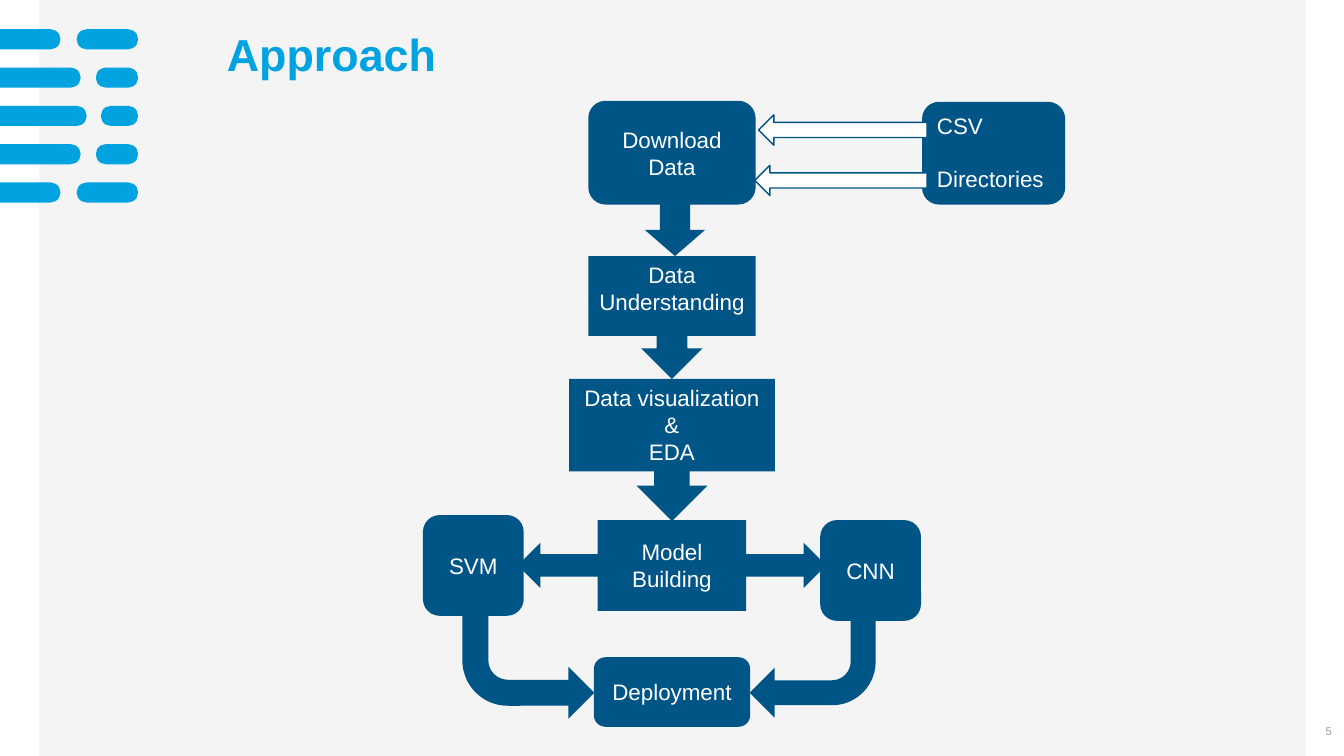
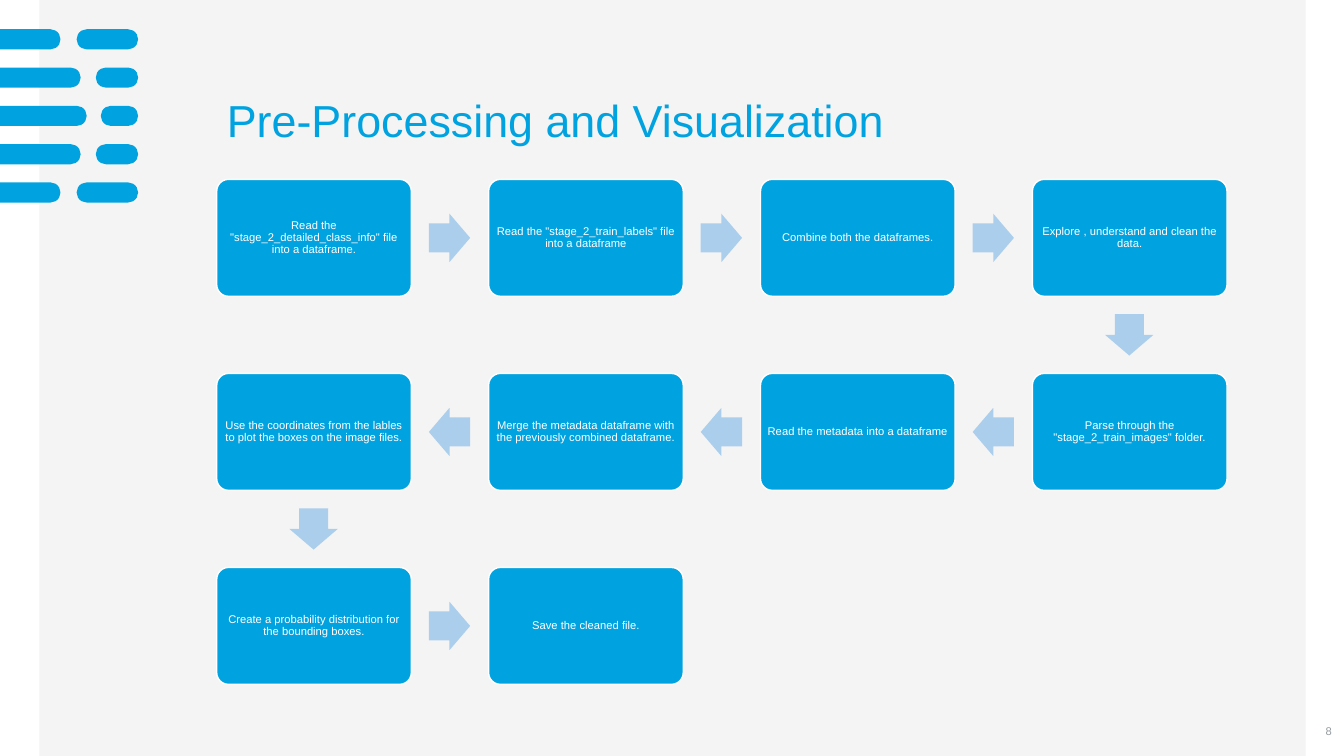
from dataclasses import dataclass
from itertools import pairwise

from pptx import Presentation
from pptx.dml.color import RGBColor
from pptx.enum.shapes import MSO_SHAPE as Kind
from pptx.enum.text import MSO_ANCHOR as Anchor, MSO_AUTO_SIZE as AutoSize, PP_ALIGN as Align
from pptx.oxml.ns import qn
from pptx.util import Inches, Pt

FONT = "Arial"
SKY = RGBColor(0x00, 0xA3, 0xE0)
NAVY = RGBColor(0x00, 0x55, 0x87)
PALE_BLUE = RGBColor(0xAB, 0xCE, 0xED)
PANEL_GRAY = RGBColor(0xF4, 0xF4, 0xF4)
NUMBER_GRAY = RGBColor(0x95, 0x9C, 0xA0)
WHITE = RGBColor(0xFF, 0xFF, 0xFF)


@dataclass
class Box:
    """A rectangle in inches."""

    left: float
    top: float
    width: float
    height: float

    @property
    def center(self):
        """Return the horizontal middle."""
        return self.left + self.width / 2

    def inches(self):
        """Return the four lengths ready for python-pptx."""
        return [Inches(v) for v in (self.left, self.top, self.width, self.height)]


PAGE = Box(0, 0, 13.33, 7.5)
PANEL = Box(0.39, 0, 12.56, 7.5)
STRIPES = Box(0, 0.29, 1.37, 1.72)
NUMBER = Box(12.82, 7.16, 0.39, 0.19)
FLOWCHART = Box(0, 1, 13.33, 6.21)
PROCESS = Box(2.15, 1.78, 10.02, 5.01)

STRIPE_EDGES = [(0.6, 0.76), (0.8, 0.95), (0.86, 1.0), (0.8, 0.95), (0.6, 0.76)]

SPINE = [
    (Kind.ROUNDED_RECTANGLE, 0, 1.66, 1.03, "Download Data", Anchor.MIDDLE),
    (Kind.DOWN_ARROW_CALLOUT, 1.54, 1.66, 1.22, "Data Understanding", Anchor.TOP),
    (Kind.DOWN_ARROW_CALLOUT, 2.76, 2.04, 1.41, "Data visualization &\nEDA", Anchor.TOP),
    (Kind.LEFT_RIGHT_ARROW_CALLOUT, 4.16, 3.06, 0.9, "Model Building", Anchor.MIDDLE),
    (Kind.ROUNDED_RECTANGLE, 5.52, 1.55, 0.69, "Deployment", Anchor.MIDDLE),
]
MODELS = [("SVM", -2.47, 4.11), ("CNN", 1.47, 4.16)]

STEPS = [
    'Read the "stage_2_detailed_class_info" file into a dataframe.',
    'Read the "stage_2_train_labels" file into a dataframe',
    "Combine both the dataframes.",
    "Explore , understand and clean the data.",
    'Parse through the "stage_2_train_images" folder.',
    "Read the metadata into a dataframe",
    "Merge the metadata dataframe with the previously combined dataframe.",
    "Use the coordinates from the lables to plot the boxes on the image files.",
    "Create a probability distribution for the bounding boxes.",
    "Save the cleaned file.",
]


def write(frame, text, size, color, align=Align.CENTER, anchor=Anchor.MIDDLE, margin=None, bold=False):
    """Fill a text frame and format all its runs alike."""
    frame.text = text
    frame.word_wrap = True
    frame.auto_size = AutoSize.NONE
    frame.vertical_anchor = anchor
    if margin is not None:
        frame.margin_left = frame.margin_right = Inches(margin)
        frame.margin_top = frame.margin_bottom = Inches(margin)
    for para in frame.paragraphs:
        para.alignment = align
        for span in para.runs:
            span.font.name = FONT
            span.font.size = Pt(size)
            span.font.bold = bold
            span.font.color.rgb = color


def draw(page, kind, box, fill, line=None, adjust=(), turn=0, mirrored=False):
    """Add a flat preset shape."""
    shape = page.shapes.add_shape(kind, *box.inches())
    shape.shadow.inherit = False
    shape.fill.solid()
    shape.fill.fore_color.rgb = fill
    if line is None:
        shape.line.fill.background()
    else:
        shape.line.color.rgb = line
        shape.line.width = Pt(1)
    for index, value in enumerate(adjust):
        shape.adjustments[index] = value
    shape.rotation = turn
    if mirrored:
        shape.element.spPr.find(qn("a:xfrm")).set("flipH", "1")
    return shape


def draw_stripes(page, area):
    """Draw the rows of rounded bars at the left edge."""
    thickness = 0.2
    pitch = (area.height - thickness) / (len(STRIPE_EDGES) - 1)
    shapes = []
    for row, (end, start) in enumerate(STRIPE_EDGES):
        top = area.top + row * pitch
        pill = Box(area.left + start, top, area.width - start, thickness)
        shapes.append(draw(page, Kind.ROUNDED_RECTANGLE, pill, SKY, adjust=[0.5]))
        bar = Box(area.left + (end - thickness) / 2, top + (thickness - end) / 2, thickness, end)
        shapes.append(draw(page, Kind.ROUND_2_SAME_RECTANGLE, bar, SKY, adjust=[0.5, 0], turn=90))
    return shapes


def build_layout(deck):
    """Put the panel and the stripes on the title-only layout."""
    layout = deck.slide_layouts[5]
    page = deck.slides.add_slide(layout)
    panel = draw(page, Kind.RECTANGLE, PANEL, PANEL_GRAY)
    for shape in [panel, *draw_stripes(page, STRIPES)]:
        layout.shapes.element.append(shape.element)
    return layout, page


def add_heading(page, text, number, box, bold=False):
    """Set the title and the page number."""
    title = page.shapes.title
    title.left, title.top, title.width, title.height = box.inches()
    write(title.text_frame, text, 32, SKY, Align.LEFT, bold=bold)
    title.text_frame.paragraphs[0].line_spacing = 0.9
    label = page.shapes.add_textbox(*NUMBER.inches())
    write(label.text_frame, number, 8, NUMBER_GRAY, Align.RIGHT, margin=0)


def draw_spine(page, area):
    """Draw the central chain of stages, from download to deployment."""
    for kind, top, width, height, text, anchor in SPINE:
        box = Box(area.center - width / 2, area.top + top, width, height)
        write(draw(page, kind, box, NAVY).text_frame, text, 16, WHITE, anchor=anchor)
    draw(page, Kind.DOWN_ARROW, Box(area.center - 0.27, area.top + 1.02, 0.6, 0.52), NAVY)


def draw_models(page, area):
    """Draw the two models and their bent arrows to deployment."""
    for text, offset, top in MODELS:
        box = Box(area.center + offset, area.top + top, 1, 1)
        write(draw(page, Kind.ROUNDED_RECTANGLE, box, NAVY).text_frame, text, 16, WHITE)
    right = Box(area.center + 0.77, area.top + 5.13, 1.25, 0.99)
    left = Box(area.center - 2.08, area.top + 5.1, 1.31, 1.03)
    draw(page, Kind.BENT_ARROW, right, NAVY, turn=180)
    draw(page, Kind.BENT_ARROW, left, NAVY, turn=180, mirrored=True)


def draw_inputs(page, area):
    """Draw the data sources and their arrows to the download stage."""
    box = Box(area.center + 2.48, area.top + 0.01, 1.42, 1.02)
    sources = draw(page, Kind.FLOWCHART_ALTERNATE_PROCESS, box, NAVY)
    write(sources.text_frame, "CSV\nDirectories", 16, WHITE, Align.LEFT, Anchor.TOP)
    sources.text_frame.paragraphs[1].space_before = Pt(19)
    for top, width in [(0.14, 1.67), (0.64, 1.71)]:
        arrow = Box(area.center + 2.53 - width, area.top + top, width, 0.3)
        draw(page, Kind.LEFT_ARROW, arrow, WHITE, NAVY)


def draw_process(page, area):
    """Draw the steps on a grid that turns back at each row end."""
    columns, rows, width, height = 4, 3, 1.93, 1.16
    column_pitch = (area.width - width) / (columns - 1)
    row_pitch = (area.height - height) / (rows - 1)
    cells = []
    for index, text in enumerate(STEPS):
        row, column = divmod(index, columns)
        if row % 2:
            column = columns - 1 - column
        cells.append((row, column))
        box = Box(area.left + column * column_pitch, area.top + row * row_pitch, width, height)
        step = draw(page, Kind.ROUNDED_RECTANGLE, box, SKY, WHITE, [0.1])
        write(step.text_frame, text, 8, WHITE, margin=0.03)
        step.text_frame.paragraphs[0].line_spacing = 0.9
    for (row, column), (next_row, next_column) in pairwise(cells):
        middle = area.left + width / 2 + (column + next_column) / 2 * column_pitch
        level = area.top + height / 2 + (row + next_row) / 2 * row_pitch
        turn = 90 if next_row > row else 0 if next_column > column else 180
        arrow = Box(middle - 0.21, level - 0.24, 0.41, 0.48)
        draw(page, Kind.RIGHT_ARROW, arrow, PALE_BLUE, adjust=[0.6, 0.5], turn=turn)


def main():
    """Build and save the deck."""
    deck = Presentation()
    deck.slide_width, deck.slide_height = Inches(PAGE.width), Inches(PAGE.height)
    layout, approach = build_layout(deck)
    add_heading(approach, "Approach", "5", Box(2.15, 0.48, 10.02, 0.18), bold=True)
    draw_spine(approach, FLOWCHART)
    draw_models(approach, FLOWCHART)
    draw_inputs(approach, FLOWCHART)

    processing = deck.slides.add_slide(layout)
    add_heading(processing, "Pre-Processing and Visualization", "8", Box(2.15, 0.9, 10.02, 0.65))
    draw_process(processing, PROCESS)
    deck.save("out.pptx")


if __name__ == "__main__":
    main()
